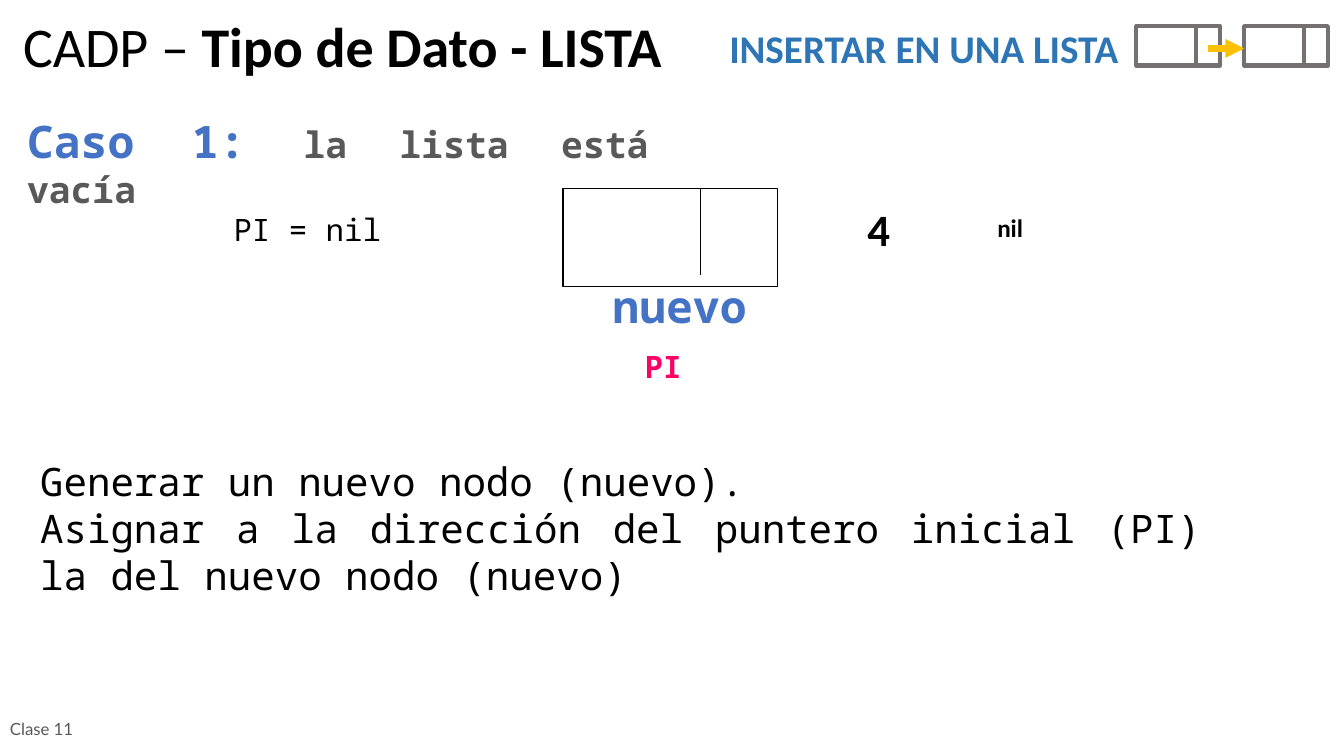
from lxml import etree
from pptx import Presentation
from pptx.dml.color import RGBColor
from pptx.enum.shapes import MSO_CONNECTOR as CONNECTOR, MSO_SHAPE as SHAPE
from pptx.enum.text import MSO_ANCHOR as ANCHOR, PP_ALIGN as ALIGN
from pptx.oxml.ns import qn
from pptx.util import Inches, Pt

MONO = "Noto Sans Mono"
BLACK, GRAY, BLUE = "000000", "595959", "4472C4"
NODE_GRAY, GOLD = "767171", "FFC000"


def color(value):
    return RGBColor.from_string(value)


def add_line(x1, y1, x2, y2, line_color, width):
    line = slide.shapes.add_connector(
        CONNECTOR.STRAIGHT, Inches(x1), Inches(y1), Inches(x2), Inches(y2))
    line.line.color.rgb = color(line_color)
    line.line.width = Pt(width)
    etree.SubElement(line._element.spPr, qn("a:effectLst"))
    return line


deck = Presentation()
deck.slide_width, deck.slide_height = Inches(13.34), Inches(7.5)
slide = deck.slides.add_slide(deck.slide_layouts[6])

nodes = [
    (11.28, 0.26, 0.83, 0.39, 0.59, 0.4, NODE_GRAY, 3, 3),
    (12.35, 0.26, 0.83, 0.39, 0.59, 0.4, NODE_GRAY, 3, 3),
    (5.59, 1.87, 2.13, 0.97, 1.36, 0.86, BLACK, 1, 0.5),
]
for left, top, width, height, split, depth, line_color, border, divider in nodes:
    node = slide.shapes.add_shape(
        SHAPE.RECTANGLE, Inches(left), Inches(top), Inches(width), Inches(height))
    node.shadow.inherit = False
    node.fill.background()
    node.line.color.rgb = color(line_color)
    node.line.width = Pt(border)
    add_line(left + split, top, left + split, top + depth, line_color, divider)

arrow = add_line(11.99, 0.48, 12.35, 0.48, GOLD, 4.5)
etree.SubElement(arrow.line._get_or_add_ln(), qn("a:tailEnd"), type="triangle")

LEFT, JUSTIFY = ALIGN.LEFT, ALIGN.JUSTIFY
texts = [
    (0.13, 0.14, 9.28, 0.76, LEFT, "Calibri",
     [[("CADP – ", 40, BLACK, False), ("Tipo de Dato - LISTA", 40, BLACK, True)]]),
    (0, 7.02, 1.07, 0.43, LEFT, "Lato", [[("Clase 11", 12, GRAY, False)]]),
    (7.14, 0.19, 4.88, 0.57, JUSTIFY, "Calibri",
     [[("INSERTAR EN UNA LISTA", 28, "2E75B6", True)]]),
    (8.51, 1.95, 0.45, 0.64, LEFT, "Calibri", [[("4", 32, BLACK, True)]]),
    (9.8, 2.06, 0.55, 0.4, LEFT, "Calibri", [[("nil", 18, BLACK, True)]]),
    (2.22, 2.04, 1.69, 0.47, LEFT, MONO, [[("PI = nil", 22, BLACK, False)]]),
    (0.17, 1.08, 6.37, 1.07, JUSTIFY, MONO,
     [[("Caso 1: ", 32, BLUE, True), ("la lista está vacía", 26, GRAY, True)]]),
    (0.3, 4.49, 11.72, 1.5, JUSTIFY, MONO,
     [[("Generar un nuevo nodo (nuevo).", 28, BLACK, False)],
      [("Asignar a la dirección del puntero inicial (PI) la del nuevo nodo (nuevo)",
        28, BLACK, False)]]),
    (5.98, 2.72, 1.65, 0.64, JUSTIFY, MONO, [[("nuevo", 32, BLUE, True)]]),
    (6.3, 3.4, 0.68, 0.47, LEFT, MONO, [[("PI", 22, "FF0066", True)]]),
]
boxes = []
for left, top, width, height, align, font, paragraphs in texts:
    box = slide.shapes.add_textbox(
        Inches(left), Inches(top), Inches(width), Inches(height))
    frame = box.text_frame
    frame.word_wrap = True
    for index, spans in enumerate(paragraphs):
        para = frame.add_paragraph() if index else frame.paragraphs[0]
        para.alignment = align
        para.font.name = font
        for text, size, text_color, bold in spans:
            span = para.add_run()
            span.text = text
            target = span.font if len(spans) > 1 else para.font
            target.size = Pt(size)
            target.bold = bold
            target.color.rgb = color(text_color)
    boxes.append(box)

title, footer = boxes[:2]
title.text_frame.paragraphs[0].line_spacing = 0.9
footer.text_frame.vertical_anchor = ANCHOR.MIDDLE

deck.save("out.pptx")
